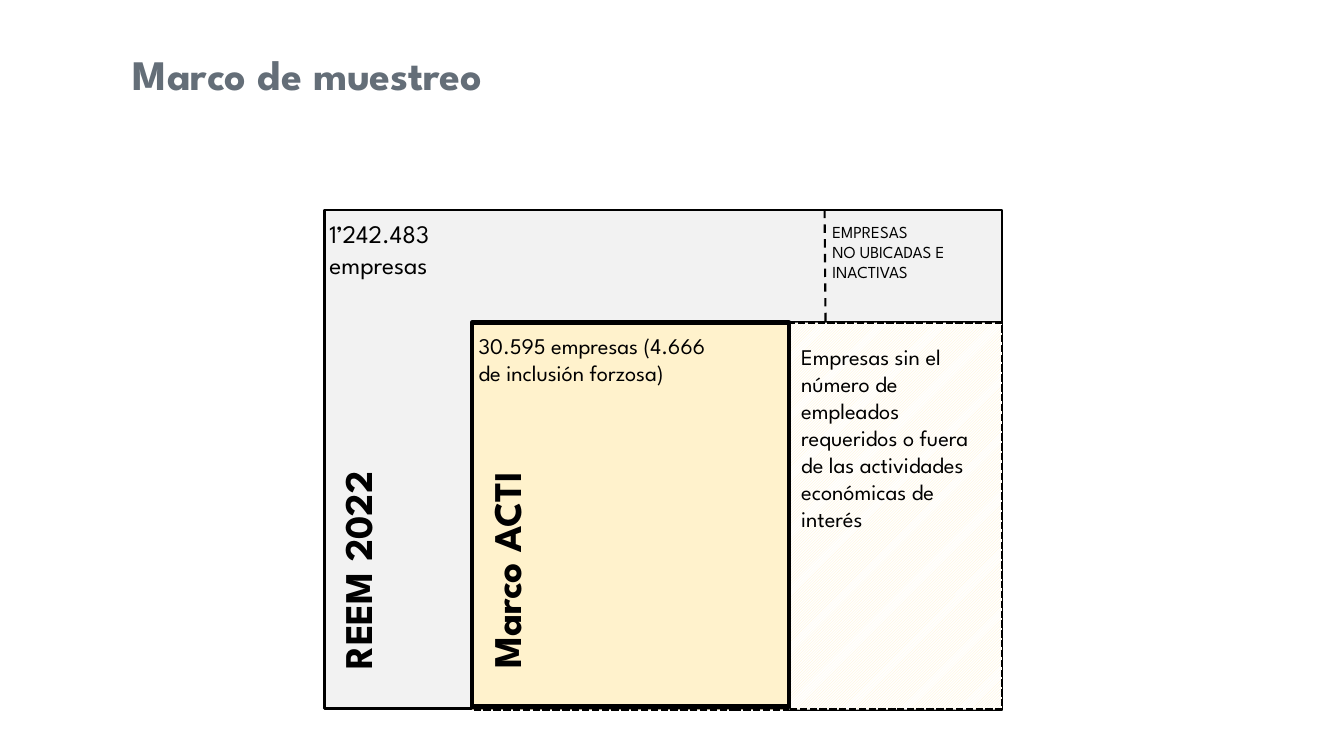
from pptx import Presentation
from pptx.dml.color import RGBColor
from pptx.enum import dml, shapes, text
from pptx.oxml.ns import qn
from pptx.util import Pt

BLACK = RGBColor(0x00, 0x00, 0x00)
WHITE = RGBColor(0xFF, 0xFF, 0xFF)
SLATE = RGBColor(0x64, 0x6E, 0x78)
GREY = RGBColor(0xF2, 0xF2, 0xF2)
CREAM = RGBColor(0xFF, 0xF2, 0xCC)
FACE = "League Spartan"
DASH = dml.MSO_LINE

prs = Presentation()
prs.slide_width, prs.slide_height = Pt(960), Pt(540)
slide = prs.slides.add_slide(prs.slide_layouts[5])


def add_box(x, y, w, h, fill=None, line=1.75, dash=None):
    box = slide.shapes.add_shape(
        shapes.MSO_SHAPE.RECTANGLE, Pt(x), Pt(y), Pt(w), Pt(h))
    box.shadow.inherit = False
    if fill is None:
        box.fill.background()
    else:
        box.fill.solid()
        box.fill.fore_color.rgb = fill
    box.line.color.rgb = BLACK
    box.line.width = Pt(line)
    if dash:
        box.line.dash_style = dash
    return box


def add_label(words, x, y, w, h, size, bold=False, turn=0):
    label = slide.shapes.add_textbox(Pt(x), Pt(y), Pt(w), Pt(h))
    label.rotation = turn
    frame = label.text_frame
    frame.word_wrap = True
    frame.text = words
    for par in frame.paragraphs:
        font = par.font
        font.name, font.size, font.bold = FACE, Pt(size), bold
        font.color.rgb = BLACK


# Title
title = slide.shapes.title
title.left, title.top = Pt(87.8), Pt(33.8)
title.width, title.height = Pt(568.8), Pt(41.8)
title.text_frame.text = "Marco de muestreo"
title.text_frame.vertical_anchor = text.MSO_ANCHOR.MIDDLE
head = title.text_frame.paragraphs[0]
head.alignment = text.PP_ALIGN.LEFT
head.line_spacing = 0.9
head.font.name, head.font.size, head.font.bold = FACE, Pt(30), True
head.font.color.rgb = SLATE

# Business register and sampling frame
add_box(231.8, 149.8, 483.8, 356.4, GREY)
add_box(337, 230.4, 378.7, 276.5, CREAM, dash=DASH.SQUARE_DOT)
add_label("Marco ACTI", 248.4, 351.4, 226, 41, 28, True, 270)
add_label("REEM 2022", 138.2, 347.8, 233.3, 41, 28, True, 270)
add_label("30.595 empresas (4.666 de inclusión forzosa)",
          334.8, 234, 192.2, 65.5, 16)
add_label("1’242.483 empresas", 228.2, 152.6, 138.2, 51, 18)

# Firms left out of the frame
out = add_box(563.8, 230.4, 151.9, 276.5, WHITE, dash=DASH.SQUARE_DOT)
out.fill.patterned()
out.fill.pattern = dml.MSO_PATTERN.DARK_UPWARD_DIAGONAL
out.fill.fore_color.rgb = CREAM
out.fill.back_color.rgb = WHITE

# Divider for firms not located
rule = slide.shapes.add_connector(
    shapes.MSO_CONNECTOR.STRAIGHT, Pt(589), Pt(149.8), Pt(589.7), Pt(230.4))
rule.line.color.rgb = BLACK
rule.line.width = Pt(1.5)
rule.line.dash_style = DASH.DASH
props = rule._element.spPr
props.append(props.makeelement(qn("a:effectLst"), {}))

add_label("EMPRESAS\nNO UBICADAS E INACTIVAS", 587.5, 154.8, 127.4, 51, 12)
add_label("Empresas sin el número de empleados requeridos o fuera "
          "de las actividades económicas de interés",
          565.2, 241.9, 150.5, 162.7, 16)

# Heavy outline of the frame
add_box(337, 230.4, 226.8, 274.3, line=3)

prs.save("out.pptx")
